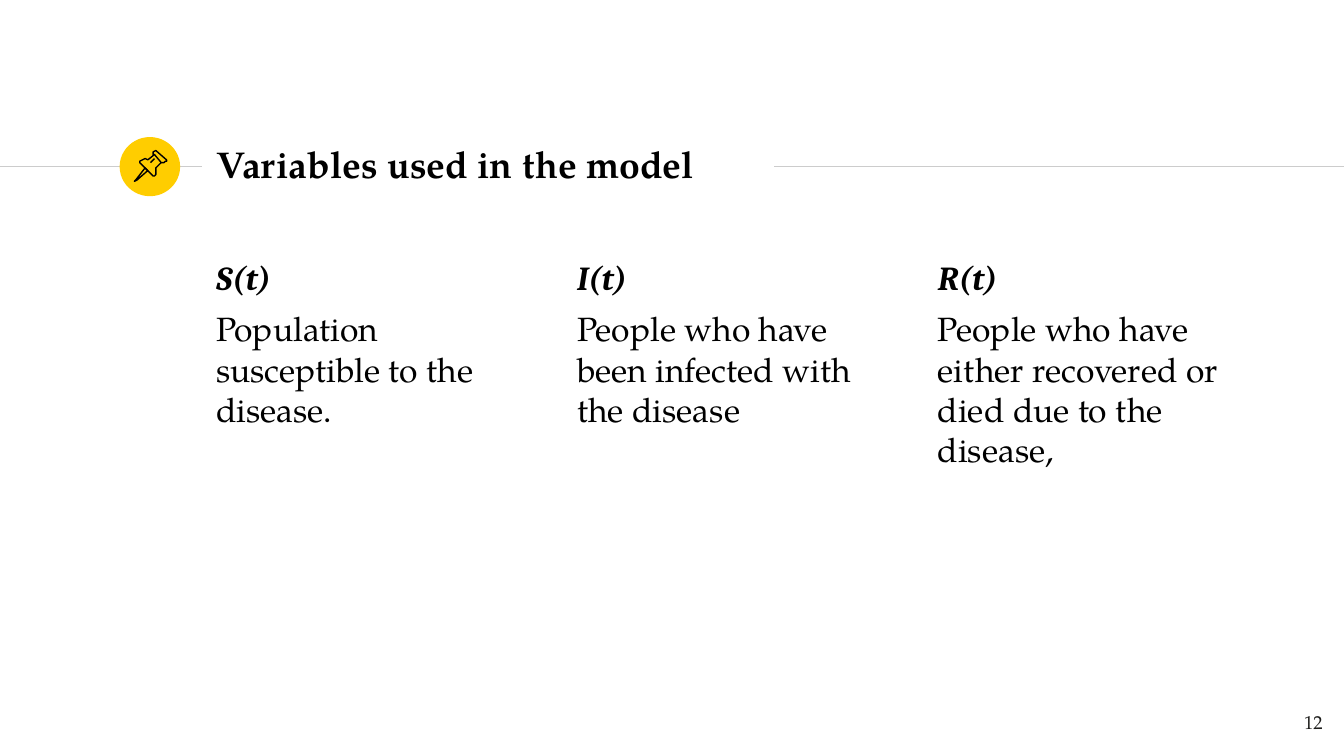
from lxml.etree import SubElement
from pptx import Presentation
from pptx.dml.color import RGBColor
from pptx.enum.shapes import MSO_CONNECTOR, MSO_SHAPE
from pptx.enum.text import MSO_ANCHOR, MSO_AUTO_SIZE, PP_ALIGN
from pptx.oxml.ns import qn
from pptx.util import Inches, Pt

FONT = "TeX Gyre Pagella"


def color(value):
    return RGBColor.from_string(value)


def add_text(para, text, size, font=FONT, fill="000000", bold=False, italic=False):
    span = para.add_run()
    span.text = text
    span.font.name = font
    span.font.size = Pt(size)
    span.font.bold = bold
    span.font.italic = italic
    span.font.color.rgb = color(fill)


# Widescreen page, 16:9
deck = Presentation()
deck.slide_width = Inches(10)
deck.slide_height = Inches(10) * 9 // 16
page = deck.slides.add_slide(deck.slide_layouts[5])

# Rule on both sides of the title
for start, end in [(0, 1.5), (5.76, 10)]:
    rule = page.shapes.add_connector(
        MSO_CONNECTOR.STRAIGHT, Inches(start), Inches(1.24), Inches(end), Inches(1.24))
    rule.line.color.rgb = color("CCCCCC")
    rule.line.width = Pt(0.75)
    SubElement(rule._element.spPr, qn("a:effectLst"))

# Yellow badge
badge = page.shapes.add_shape(
    MSO_SHAPE.OVAL, Inches(0.89), Inches(1.02), Inches(0.45), Inches(0.44))
badge.shadow.inherit = False
badge.fill.solid()
badge.fill.fore_color.rgb = color("FFCD00")
badge.line.fill.background()

# Pushpin outlines, in hundredths of an inch: needle, head, body, highlight
pin_parts = [
    ([(108, 125), (101, 134), (100, 135), (102, 134), (110, 127)], True),
    ([(115, 115), (120, 121), (122, 121), (123, 120.5), (124, 120), (124, 119),
      (116.5, 112), (115.5, 112), (114.5, 113), (114, 114), (114.5, 115)], True),
    ([(115, 115), (110, 119), (108, 118.5), (106, 119), (104, 120), (104, 121),
      (114, 131), (115, 131), (116, 130), (116.5, 128), (116, 125), (120, 121)], False),
    ([(112, 121), (115, 118)], False),
]
for points, closed in pin_parts:
    builder = page.shapes.build_freeform(*points[0], scale=Inches(0.01))
    builder.add_line_segments(points[1:], close=closed)
    outline = builder.convert_to_shape()
    outline.shadow.inherit = False
    outline.fill.background()
    outline.line.color.rgb = color("000000")
    outline.line.width = Pt(0.75)

# Title
title = page.shapes.title
title.left, title.top = Inches(1.51), Inches(0.98)
title.width, title.height = Inches(4.24), Inches(0.48)
title.text_frame.paragraphs[0].alignment = PP_ALIGN.LEFT
add_text(title.text_frame.paragraphs[0], "Variables used in the model", 20, bold=True)

# Three evenly spaced columns of variables
frames = [title.text_frame]
first_left, last_left = Inches(1.51), Inches(6.88)
variables = [
    ("S(t)", "Population susceptible to the disease."),
    ("I(t)", "People who have been infected with the disease"),
    ("R(t)", "People who have either recovered or died due to the disease,"),
]
for index, (symbol, meaning) in enumerate(variables):
    box = page.shapes.add_textbox(
        first_left + index * (last_left - first_left) // 2, Inches(1.81),
        Inches(2.55), Inches(3.41))
    frames.append(box.text_frame)
    heading = box.text_frame.paragraphs[0]
    add_text(heading, symbol, 18, font="Cambria", bold=True, italic=True)
    body = box.text_frame.add_paragraph()
    add_text(body, meaning, 18)
    for para in (heading, body):
        para.space_before = Pt(6)

# Slide number
number = page.shapes.add_textbox(Inches(9.34), Inches(5.19), Inches(0.6), Inches(0.43))
frames.append(number.text_frame)
number.text_frame.paragraphs[0].alignment = PP_ALIGN.RIGHT
add_text(number.text_frame.paragraphs[0], "12", 10, fill="1D1D1B")

# Shared text settings
for frame in frames:
    frame.word_wrap = True
    frame.auto_size = MSO_AUTO_SIZE.NONE
    frame.vertical_anchor = MSO_ANCHOR.TOP
    frame.margin_left = frame.margin_right = Inches(0.1)
    frame.margin_top = frame.margin_bottom = Inches(0.1)
title.text_frame.vertical_anchor = MSO_ANCHOR.MIDDLE

deck.save("out.pptx")
